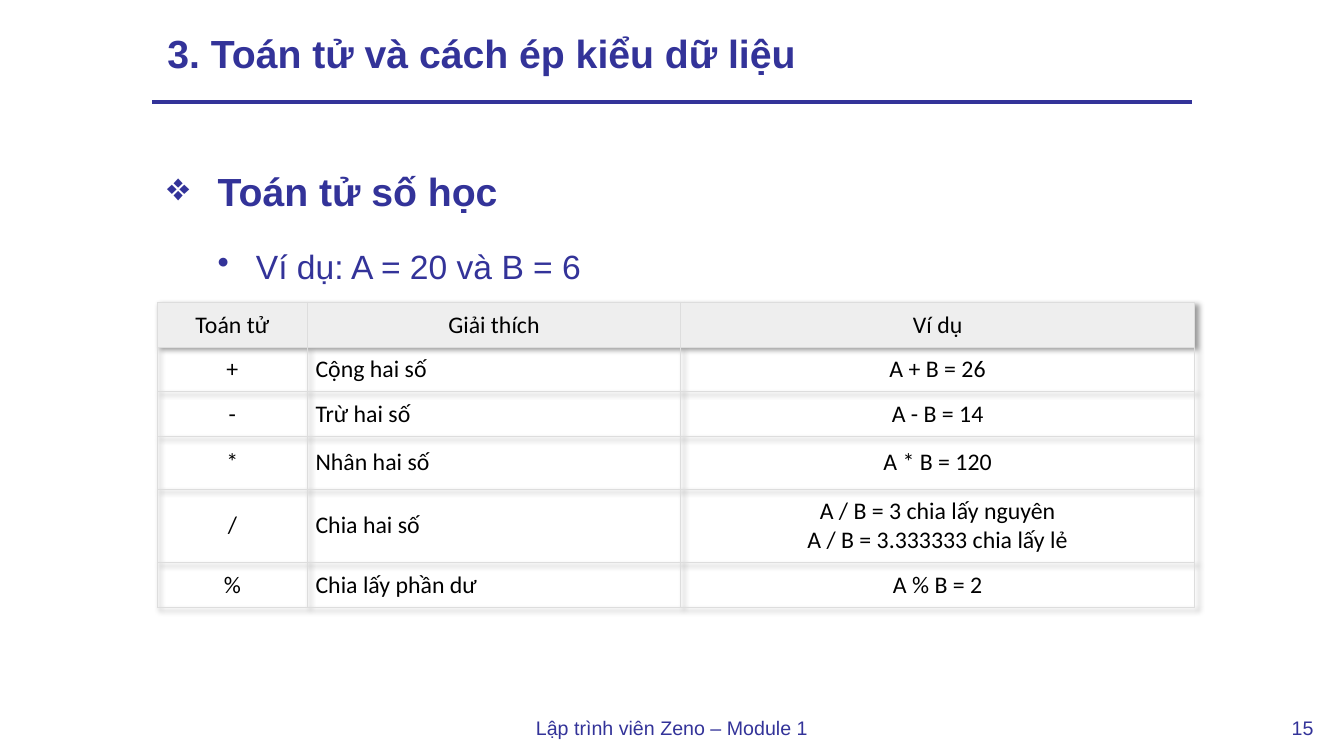
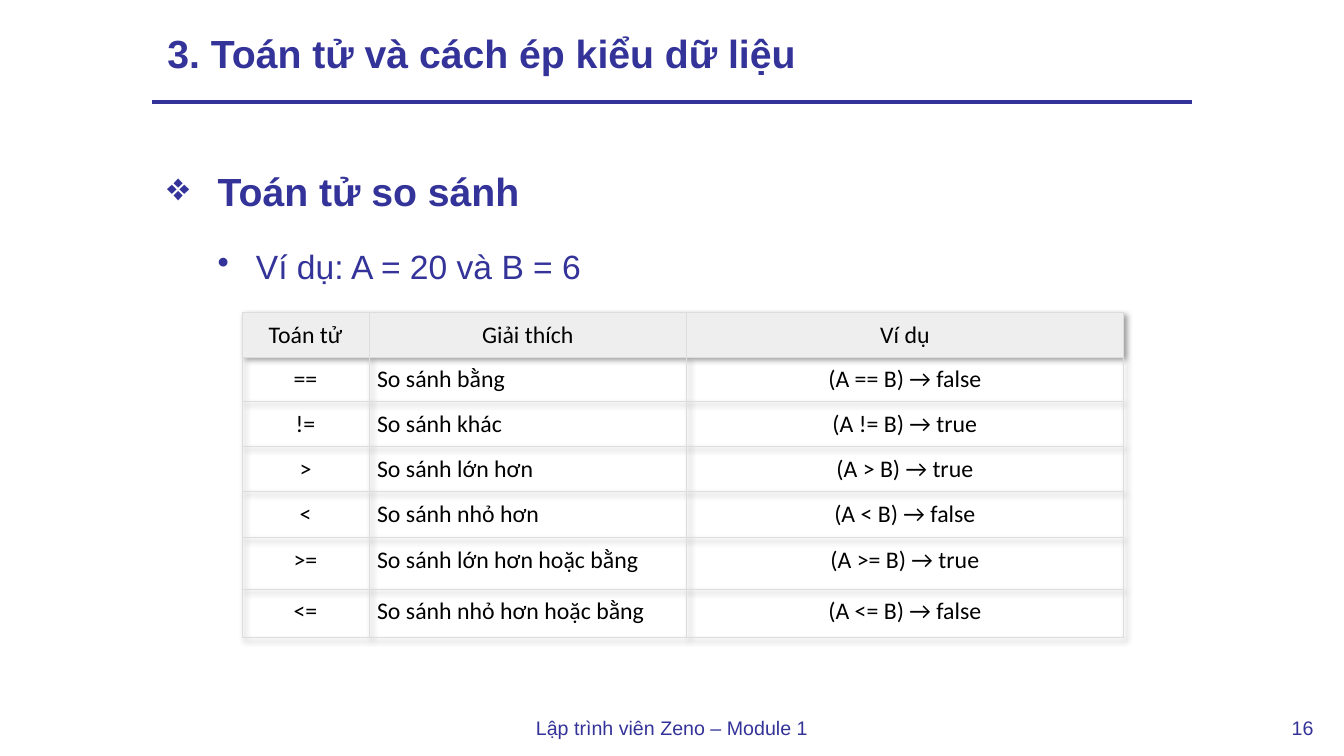
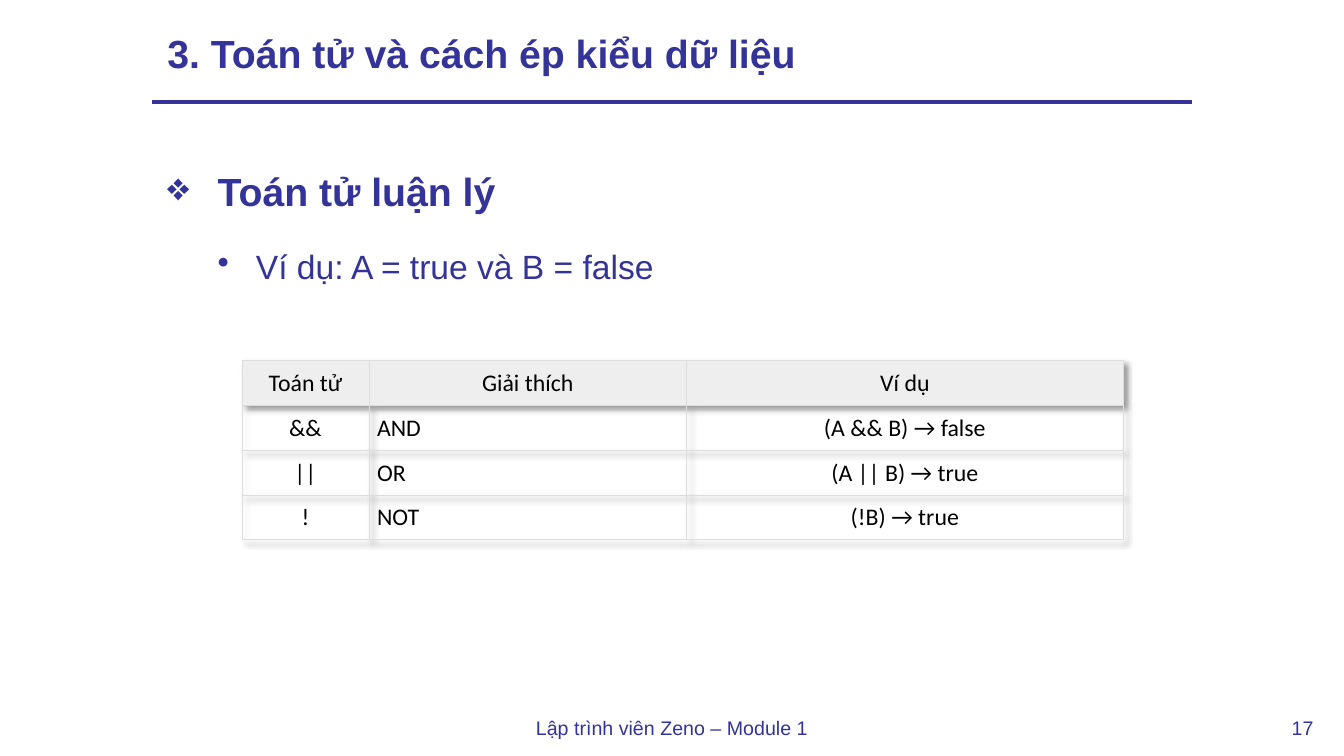
from lxml.etree import SubElement
from pptx import Presentation
from pptx.dml.color import RGBColor
from pptx.enum.shapes import MSO_CONNECTOR
from pptx.enum.text import MSO_ANCHOR as Anchor, MSO_AUTO_SIZE as AutoSize, PP_ALIGN as Align
from pptx.oxml import parse_xml
from pptx.oxml.ns import nsdecls, qn
from pptx.util import Inches, Pt

# Shared look
NAVY = RGBColor(0x33, 0x33, 0x99)
BLACK = RGBColor(0x00, 0x00, 0x00)
HEADER_FILL = RGBColor(0xEE, 0xEE, 0xEE)
BORDER = RGBColor(0xDD, 0xDD, 0xDD)
TITLE = "3. Toán tử và cách ép kiểu dữ liệu"
FOOTER = "Lập trình viên Zeno – Module 1"
TABLE_HEADER = ("Toán tử", "Giải thích", "Ví dụ")
COLUMN_ALIGN = (Align.CENTER, Align.LEFT, Align.CENTER)
NARROW_COLUMNS = (1.26, 3.15, 4.33)
ROW = 0.44
FIRST_NUMBER = 15

SLIDES = [
    dict(
        heading="Toán tử số học",
        example="Ví dụ: A = 20 và B = 6",
        corner=(1.56, 3), columns=(1.49, 3.7, 5.1), anchor=Anchor.MIDDLE,
        heights=(ROW, ROW, ROW, 0.52, 0.72, ROW),
        rows=[
            ("+", "Cộng hai số", "A + B = 26"),
            ("-", "Trừ hai số", "A - B = 14"),
            ("*", "Nhân hai số", "A * B = 120"),
            ("/", "Chia hai số", "A / B = 3 chia lấy nguyên\nA / B = 3.333333 chia lấy lẻ"),
            ("%", "Chia lấy phần dư", "A % B = 2"),
        ],
    ),
    dict(
        heading="Toán tử so sánh",
        example="Ví dụ: A = 20 và B = 6",
        corner=(2.4, 3.1), columns=NARROW_COLUMNS, anchor=Anchor.TOP,
        heights=(ROW, ROW, ROW, ROW, 0.46, 0.51, 0.48),
        rows=[
            ("==", "So sánh bằng", "(A == B) → false"),
            ("!=", "So sánh khác", "(A != B) → true"),
            (">", "So sánh lớn hơn", "(A > B) → true"),
            ("<", "So sánh nhỏ hơn", "(A < B) → false"),
            (">=", "So sánh lớn hơn hoặc bằng", "(A >= B) → true"),
            ("<=", "So sánh nhỏ hơn hoặc bằng", "(A <= B) → false"),
        ],
    ),
    dict(
        heading="Toán tử luận lý",
        example="Ví dụ: A = true và B = false",
        corner=(2.4, 3.58), columns=NARROW_COLUMNS, anchor=Anchor.TOP,
        heights=(ROW,) * 4,
        rows=[
            ("&&", "AND", "(A && B) → false"),
            ("||", "OR", "(A || B) → true"),
            ("!", "NOT", "(!B) → true"),
        ],
    ),
]


def style_font(font, size, color=NAVY, name="Arial", bold=False):
    font.name, font.size, font.bold = name, Pt(size), bold
    font.color.rgb = color


def add_title(slide, left, top, width, height):
    title = slide.shapes.title
    title.left, title.top = Inches(left), Inches(top)
    title.width, title.height = Inches(width), Inches(height)
    frame = title.text_frame
    frame.text = TITLE
    frame.auto_size = AutoSize.NONE
    frame.vertical_anchor = Anchor.MIDDLE
    paragraph = frame.paragraphs[0]
    paragraph.alignment = Align.LEFT
    paragraph.line_spacing = 0.9
    style_font(paragraph.font, 28, bold=True)


def add_rule(slide, left, top, width):
    """Line under the title."""
    rule = slide.shapes.add_connector(
        MSO_CONNECTOR.STRAIGHT, Inches(left), Inches(top), Inches(left + width), Inches(top))
    rule.line.color.rgb = NAVY
    rule.line.width = Pt(3)
    SubElement(rule._element.spPr, qn("a:effectLst"))


def add_footer_text(slide, text, left, top, width, height):
    box = slide.shapes.add_textbox(Inches(left), Inches(top), Inches(width), Inches(height))
    frame = box.text_frame
    frame.word_wrap = False
    frame.text = text
    paragraph = frame.paragraphs[0]
    paragraph.alignment = Align.CENTER
    paragraph.line_spacing = 1.5
    style_font(paragraph.font, 14)


def format_bullet(paragraph, bullet, margin, hanging):
    properties = paragraph._p.get_or_add_pPr()
    properties.set("marL", str(Inches(margin)))
    properties.set("indent", str(-Inches(hanging)))
    SubElement(properties, qn("a:buChar")).set("char", bullet)


def add_topic(slide, heading, example, left, top, width, height):
    """Bulleted heading with the example values below it."""
    box = slide.shapes.add_textbox(Inches(left), Inches(top), Inches(width), Inches(height))
    frame = box.text_frame
    frame.word_wrap = True
    frame.text = f"{heading}\n{example}"
    first, second = frame.paragraphs
    for paragraph in (first, second):
        paragraph.alignment = Align.JUSTIFY
        paragraph.line_spacing = 1.5
    first.space_after = Pt(8)
    second.level = 1
    style_font(first.font, 28, bold=True)
    style_font(second.font, 24)
    format_bullet(first, "❖", 0.5, 0.5)
    format_bullet(second, "•", 0.88, 0.38)


def format_cell(cell, text, alignment, anchor, is_header):
    cell.text = text
    cell.vertical_anchor = anchor
    cell.margin_left = cell.margin_right = Inches(0.08)
    cell.margin_top = cell.margin_bottom = Inches(0.08)
    for paragraph in cell.text_frame.paragraphs:
        paragraph.alignment = alignment
        style_font(paragraph.font, 17, BLACK, "Calibri")
    # Borders come before the fill in the cell properties
    properties = cell._tc.get_or_add_tcPr()
    for side in ("lnL", "lnR", "lnT", "lnB"):
        properties.append(parse_xml(
            f'<a:{side} {nsdecls("a")} w="{Pt(0.75)}"><a:solidFill>'
            f'<a:srgbClr val="{BORDER}"/></a:solidFill></a:{side}>'))
    if is_header:
        cell.fill.solid()
        cell.fill.fore_color.rgb = HEADER_FILL
    else:
        cell.fill.background()


def add_table_shadow(table):
    table._tbl.tblPr.insert(0, parse_xml(
        f'<a:effectLst {nsdecls("a")}><a:outerShdw blurRad="{Pt(4)}" dist="{Pt(3)}" '
        'dir="2700000" algn="tl" rotWithShape="0"><a:srgbClr val="000000">'
        '<a:alpha val="40000"/></a:srgbClr></a:outerShdw></a:effectLst>'))


def add_operator_table(slide, rows, columns, heights, anchor, left, top):
    all_rows = [TABLE_HEADER, *rows]
    table = slide.shapes.add_table(
        len(all_rows), len(columns), Inches(left), Inches(top),
        Inches(sum(columns)), Inches(sum(heights))).table
    table.first_row = table.horz_banding = False
    add_table_shadow(table)
    for column, width in zip(table.columns, columns):
        column.width = Inches(width)
    for row_index, (texts, height) in enumerate(zip(all_rows, heights)):
        table.rows[row_index].height = Inches(height)
        for column_index, text in enumerate(texts):
            is_header = row_index == 0
            alignment = Align.CENTER if is_header else COLUMN_ALIGN[column_index]
            format_cell(table.cell(row_index, column_index), text, alignment, anchor, is_header)


def add_operator_slide(presentation, number, content):
    slide = presentation.slides.add_slide(presentation.slide_layouts[5])
    add_footer_text(slide, str(number), 12.7, 6.94, 0.44, 0.41)
    add_rule(slide, 1.51, 1.01, 10.31)
    add_footer_text(slide, FOOTER, 5.21, 6.94, 2.91, 0.41)
    add_title(slide, 1.56, 0.27, 10.41, 0.56)
    add_topic(slide, content["heading"], content["example"], 1.56, 1.38, 10.29, 1.45)
    add_operator_table(slide, content["rows"], content["columns"], content["heights"],
                       content["anchor"], *content["corner"])


def main():
    presentation = Presentation()
    presentation.slide_width = Inches(13.33)
    presentation.slide_height = Inches(7.5)
    for number, content in enumerate(SLIDES, FIRST_NUMBER):
        add_operator_slide(presentation, number, content)
    presentation.save("out.pptx")


if __name__ == "__main__":
    main()
